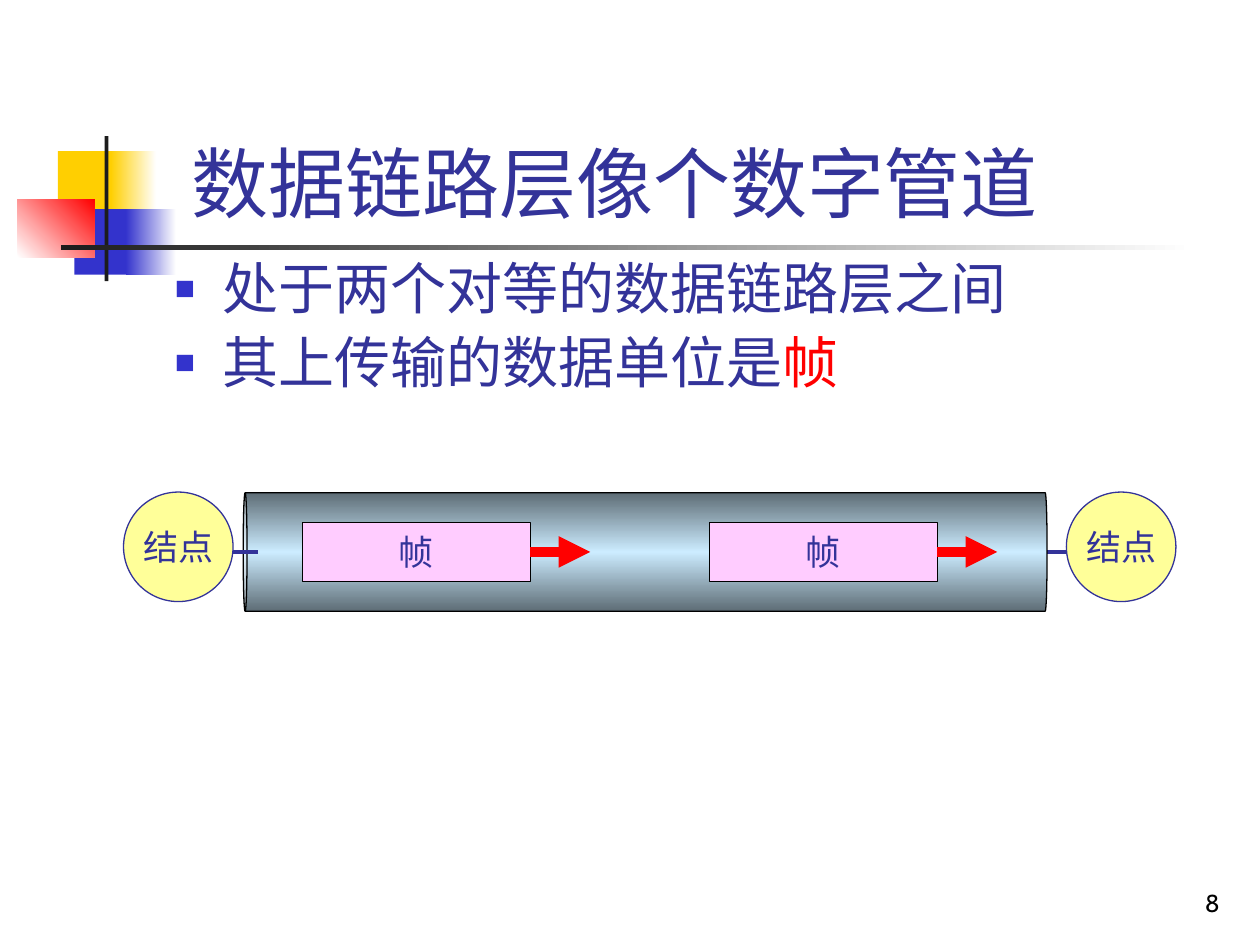
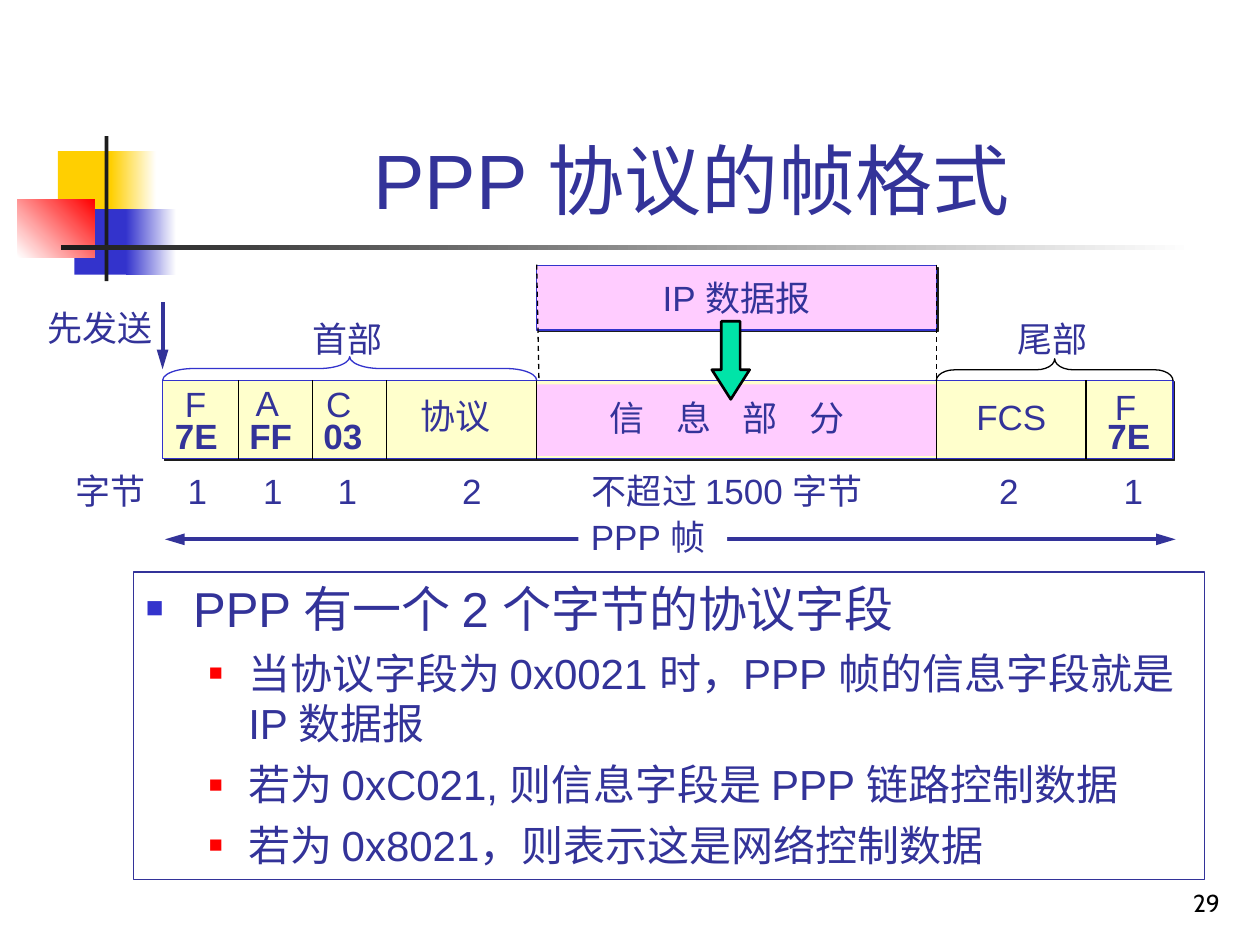
from dataclasses import dataclass

from lxml.etree import SubElement
from pptx import Presentation
from pptx.dml.color import RGBColor
from pptx.enum.dml import MSO_LINE_DASH_STYLE as Dash
from pptx.enum.shapes import MSO_CONNECTOR_TYPE as Connector, MSO_SHAPE as Preset
from pptx.enum.text import MSO_AUTO_SIZE as AutoSize, MSO_VERTICAL_ANCHOR as Anchor, PP_PARAGRAPH_ALIGNMENT as Align
from pptx.oxml.ns import qn
from pptx.util import Pt


@dataclass(frozen=True)
class Theme:
    ink: str = "333399"
    blue: str = "3333CC"
    red: str = "FF0000"
    gold: str = "FFCF01"
    dark: str = "1C1C1C"
    black: str = "000000"
    white: str = "FFFFFF"
    pink: str = "FFCCFF"
    yellow: str = "FFFF99"
    cream: str = "FFFFCC"
    green: str = "00E4A8"
    pipe_edge: str = "5E6D76"
    pipe_core: str = "CCECFF"
    font: str = "Arial"
    node_font: str = "Cabin"
    title: int = 44
    body: int = 32
    list_head: int = 28
    list_item: int = 24
    label: int = 20
    number: int = 14


THEME = Theme()


def rgb(value):
    return RGBColor.from_string(value)


def add_bullet(paragraph, color, percent, margin, hang):
    properties = paragraph._p.get_or_add_pPr()
    properties.set("marL", str(Pt(margin)))
    properties.set("indent", str(-Pt(hang)))
    SubElement(SubElement(properties, qn("a:buClr")), qn("a:srgbClr"), val=color)
    SubElement(properties, qn("a:buSzPct"), val=str(percent * 1000))
    SubElement(properties, qn("a:buFont"), typeface=THEME.font)
    SubElement(properties, qn("a:buChar"), char="■")


def write(paragraph, text, *, size=THEME.label, font=THEME.font, color=THEME.ink, bold=False,
          align=Align.LEFT, tracking=0):
    """Append one formatted span to the paragraph."""
    paragraph.alignment = align
    span = paragraph.add_run()
    span.text = text
    span.font.size = Pt(size)
    span.font.name = font
    span.font.bold = bold
    span.font.color.rgb = rgb(color)
    if tracking:
        span._r.get_or_add_rPr().set("spc", str(round(tracking * 100)))


class Painter:
    """Draws on the current slide; every length is in points."""

    def __init__(self, theme):
        self.theme = theme
        self.deck = Presentation()
        self.deck.slide_width, self.deck.slide_height = Pt(720), Pt(540)
        self.page = None

    def start_page(self, title, title_box, number, title_right=7.2):
        theme = self.theme
        self.page = self.deck.slides.add_slide(self.deck.slide_layouts[6])
        for box, fill, angle in (
            ((33.1, 86.4, 34.6, 37.4), theme.gold, 0),
            ((63.4, 86.4, 25.9, 37.4), (theme.gold, theme.white), 0),
            ((42.5, 119.5, 33.1, 37.4), theme.blue, 0),
            ((72, 119.5, 28.8, 37.4), (theme.blue, theme.white), 0),
            ((10.1, 113.8, 43.9, 33.1), (theme.white, theme.red), 45),
            ((59.8, 77.8, 2.2, 82.8), theme.dark, 0),
            ((34.6, 140.2, 648, 2.4), (theme.dark, theme.white), 0),
        ):
            self.shape(Preset.RECTANGLE, box, fill, angle=angle)
        frame = self.text(title, title_box, anchor=Anchor.BOTTOM, wrap=True,
                          size=theme.title, align=Align.CENTER)
        frame.margin_right = Pt(title_right)
        self.text(number, (554.4, 491.8, 149.8, 36), anchor=Anchor.BOTTOM, wrap=True,
                  size=theme.number, font=theme.node_font, color=theme.black, align=Align.RIGHT)

    def shape(self, preset, box, fill=None, line=None, width=0.75, angle=0, shadow=False,
              rotation=0, adjust=(), text=None, **style):
        """Draw a preset shape; a tuple of fill colours makes an even gradient."""
        shape = self.page.shapes.add_shape(preset, *map(Pt, box))
        shape.shadow.inherit = False
        shape.rotation = rotation
        for index, value in enumerate(adjust):
            shape.adjustments[index] = value
        if fill is None:
            shape.fill.background()
        elif isinstance(fill, tuple):
            self.gradient(shape, fill, angle)
        else:
            shape.fill.solid()
            shape.fill.fore_color.rgb = rgb(fill)
        if line:
            shape.line.color.rgb = rgb(line)
            shape.line.width = Pt(width)
        else:
            shape.line.fill.background()
        if shadow:
            effects = shape._element.spPr.find(qn("a:effectLst"))
            cast = SubElement(effects, qn("a:outerShdw"), dist=str(Pt(1.4)), dir="2700000",
                              algn="ctr", rotWithShape="0")
            SubElement(cast, qn("a:srgbClr"), val=self.theme.dark)
        if text:
            frame = shape.text_frame
            frame.word_wrap = False
            frame.vertical_anchor = Anchor.MIDDLE
            write(frame.paragraphs[0], text, align=Align.CENTER, **style)
        return shape

    def gradient(self, shape, colors, angle):
        shape.fill.gradient()
        shape.fill.gradient_angle = angle
        stops = shape._element.spPr.find(qn("a:gradFill")).find(qn("a:gsLst"))
        for stop in list(stops):
            stops.remove(stop)
        for index, color in enumerate(colors):
            position = 100000 * index // (len(colors) - 1)
            stop = SubElement(stops, qn("a:gs"), pos=str(position))
            SubElement(stop, qn("a:srgbClr"), val=color)

    def text(self, text, box, anchor=Anchor.TOP, wrap=False, **style):
        frame = self.page.shapes.add_textbox(*map(Pt, box)).text_frame
        frame.word_wrap = wrap
        frame.auto_size = AutoSize.NONE
        frame.vertical_anchor = anchor
        write(frame.paragraphs[0], text, **style)
        return frame

    def label(self, text, left, top, width, **style):
        self.text(text, (left, top, width, 31.7), **style)

    def bullets(self, box, items, spacing=1.0, border=None):
        """Each item is (level, size, space before, spans); a span is (text, colour)."""
        theme = self.theme
        shape = self.page.shapes.add_textbox(*map(Pt, box))
        if border:
            shape.line.color.rgb = rgb(border)
            shape.line.width = Pt(0.75)
        frame = shape.text_frame
        frame.word_wrap = True
        for index, (level, size, before, spans) in enumerate(items):
            para = frame.add_paragraph() if index else frame.paragraphs[0]
            para.line_spacing = spacing
            para.space_before = Pt(before if index else 0)
            para.level = level
            if level:
                add_bullet(para, theme.red, 55, 58.5, 22.5)
            else:
                add_bullet(para, theme.blue, 60, 27, 27)
            for text, color in spans:
                write(para, text, size=size, color=color)

    def line(self, start, end, color, width=0.75, dash=None, head=None, tail=None):
        """Draw a line; head and tail give the arrowhead length at start and end."""
        line = self.page.shapes.add_connector(Connector.STRAIGHT, *map(Pt, (*start, *end)))
        line.line.color.rgb = rgb(color)
        line.line.width = Pt(width)
        if dash:
            line.line.dash_style = dash
        properties = line._element.spPr
        for tag, length in (("a:headEnd", head), ("a:tailEnd", tail)):
            if length:
                SubElement(properties.find(qn("a:ln")), qn(tag), type="triangle", w="med", len=length)
        SubElement(properties, qn("a:effectLst"))

    def brace(self, left, right, top, depth, curve, color):
        """Draw a brace over the span from left to right, its tip pointing up."""
        length = right - left
        box = ((left + right - depth) / 2, top + (depth - length) / 2, depth, length)
        self.shape(Preset.LEFT_BRACE, box, line=color, rotation=90, adjust=(curve, 0.5))


def draw_pipe_page(painter):
    theme = painter.theme
    painter.start_page("数据链路层像个数字管道", (86.4, 73.4, 540, 60.5), "8", title_right=17)
    painter.bullets((92.9, 145.4, 612, 380.9), [
        (0, theme.body, 8, [("处于两个对等的数据链路层之间", theme.ink)]),
        (0, theme.body, 8, [("其上传输的数据单位是", theme.ink), ("帧", theme.red)]),
    ], spacing=0.9)

    axis = 315.4
    for left in (70.6, 609.4):
        painter.shape(Preset.OVAL, (left, 281.2, 62.6, 62.6), theme.yellow, theme.ink,
                      text="结点", font=theme.node_font)
    painter.line((133.2, axis), (609.8, axis), theme.ink, 2.25)
    painter.shape(Preset.CAN, (334.8, 85.7, 67.7, 459.4),
                  (theme.pipe_edge, theme.pipe_core, theme.pipe_edge), theme.black,
                  rotation=270, adjust=(0.033,))
    painter.line((133.2, axis), (147.6, axis), theme.ink, 2.25)
    frame_width = 130.3
    for left in (172.8, 405.4):
        painter.shape(Preset.RECTANGLE, (left, 298.4, frame_width, 33.8), theme.pink, theme.black,
                      text="帧", font=theme.node_font)
        right = left + frame_width
        painter.line((right, axis), (right + 34.2, axis), theme.red, 6, tail="med")


def draw_frame_page(painter):
    theme = painter.theme
    painter.start_page("PPP 协议的帧格式", (70.6, 16.6, 649.4, 115.2), "29")
    painter.bullets((76.3, 326.9, 612, 175.7), [
        (0, theme.list_head, 7, [("PPP 有一个 2 个字节的协议字段", theme.ink)]),
        *((1, theme.list_item, 6, [(text, theme.ink)]) for text in (
            "当协议字段为 0x0021 时，PPP 帧的信息字段就是IP 数据报",
            "若为 0xC021, 则信息字段是 PPP 链路控制数据",
            "若为 0x8021，则表示这是网络控制数据")),
    ], border=theme.ink)

    first, address, control, protocol, info, check, last, end = (
        92.9, 136.1, 178.6, 221, 306.7, 535, 620.6, 670.3)
    top, bottom = 217.4, 262.1
    info_width = check - info

    painter.shape(Preset.RECTANGLE, (info, 151.9, info_width, 36.7), theme.pink, theme.blue,
                  shadow=True, text="IP 数据报")
    painter.line((info, 151.2), (info + 1.4, 223.9), theme.black, dash=Dash.DASH)
    painter.line((check, 151.2), (check, 221), theme.black, dash=Dash.DASH)

    painter.line((94.3, 308.2), (671.8, 308.2), theme.ink, 2.25, head="lg", tail="lg")
    painter.shape(Preset.RECTANGLE, (330.5, 290.9, 85, 31.7), theme.white)
    painter.label("PPP 帧", 330.5, 290.9, 85)

    painter.shape(Preset.RECTANGLE, (first, top, end - first, bottom - top), theme.cream, theme.blue,
                  shadow=True)
    painter.shape(Preset.RECTANGLE, (info, 219.6, info_width, 41), theme.pink)
    for edge in (address, control, protocol, info, check, last):
        painter.line((edge, top), (edge, bottom), theme.black)

    for text, left, width in (("字节", 36, 56), ("1", 100.1, 26), ("1", 143.3, 26),
                              ("1", 185.8, 26), ("2", 257, 26), ("不超过 1500 字节", 331.2, 180),
                              ("2", 563.8, 26), ("1", 635, 26)):
        painter.label(text, left, 265, width)
    for text, left, label_top, width in (
        ("F", 98.6, 215.3, 27), ("A", 139, 214.6, 28), ("C", 179.3, 215.3, 29),
        ("协议", 233.3, 221.8, 56), ("FCS", 550.8, 222.5, 56), ("F", 630, 216.7, 27),
        ("先发送", 20.2, 171.4, 76), ("首部", 171.4, 177.8, 56), ("尾部", 574.6, 177.8, 56),
    ):
        painter.label(text, left, label_top, width)
    for text, left in (("7E", 92.9), ("FF", 135.4), ("03", 177.8), ("7E", 625.7)):
        painter.label(text, left, 233.3, 39, bold=True)
    painter.label("信 息 部 分", 341.3, 223.2, 160, tracking=6.75)

    painter.brace(first, info, 203.8, 13.6, 1.29, theme.blue)
    painter.brace(check, end, 205, 12.6, 0.83, theme.black)
    painter.line((first, 172.8), (first, 211), theme.ink, 2.25, tail="lg")
    painter.shape(Preset.DOWN_ARROW, (406.8, 183.6, 21.6, 44.6), theme.green, theme.black, 1.5,
                  adjust=(0.5, 0.783))


def main():
    painter = Painter(THEME)
    draw_pipe_page(painter)
    draw_frame_page(painter)
    painter.deck.save("out.pptx")


if __name__ == "__main__":
    main()
